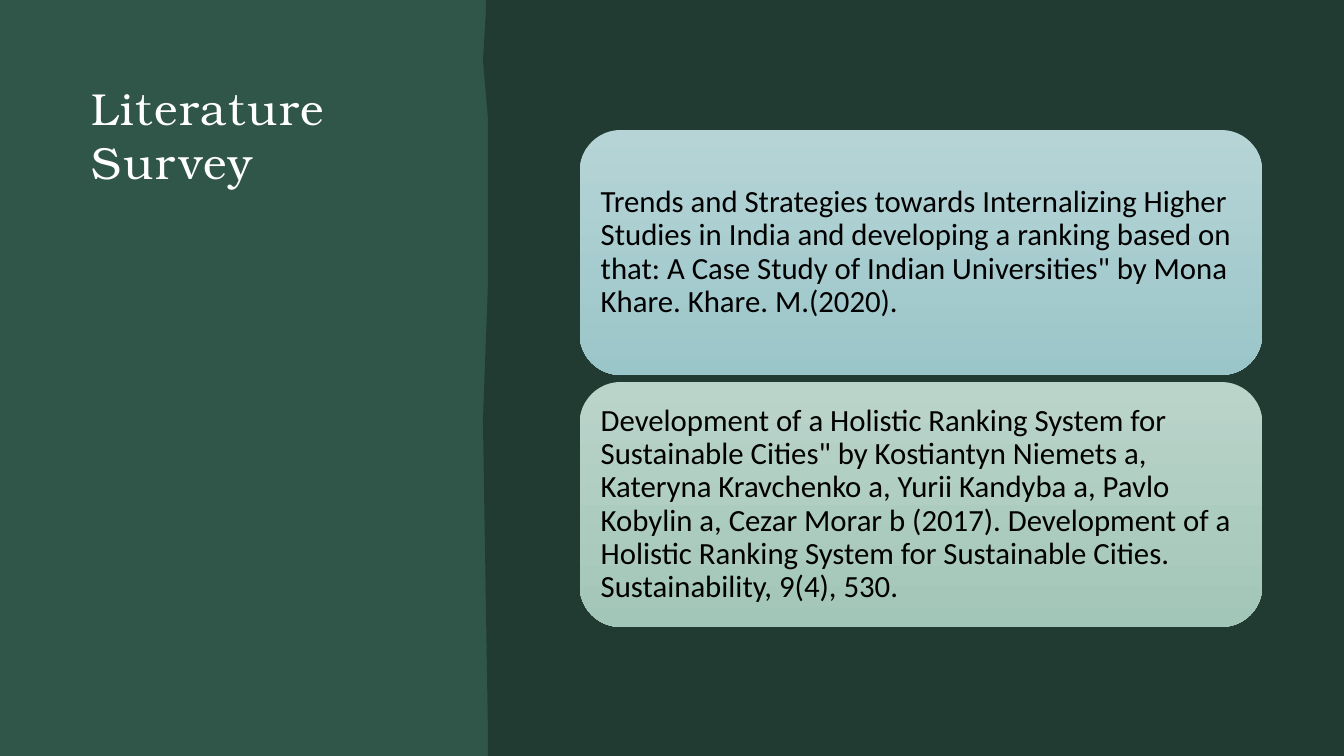
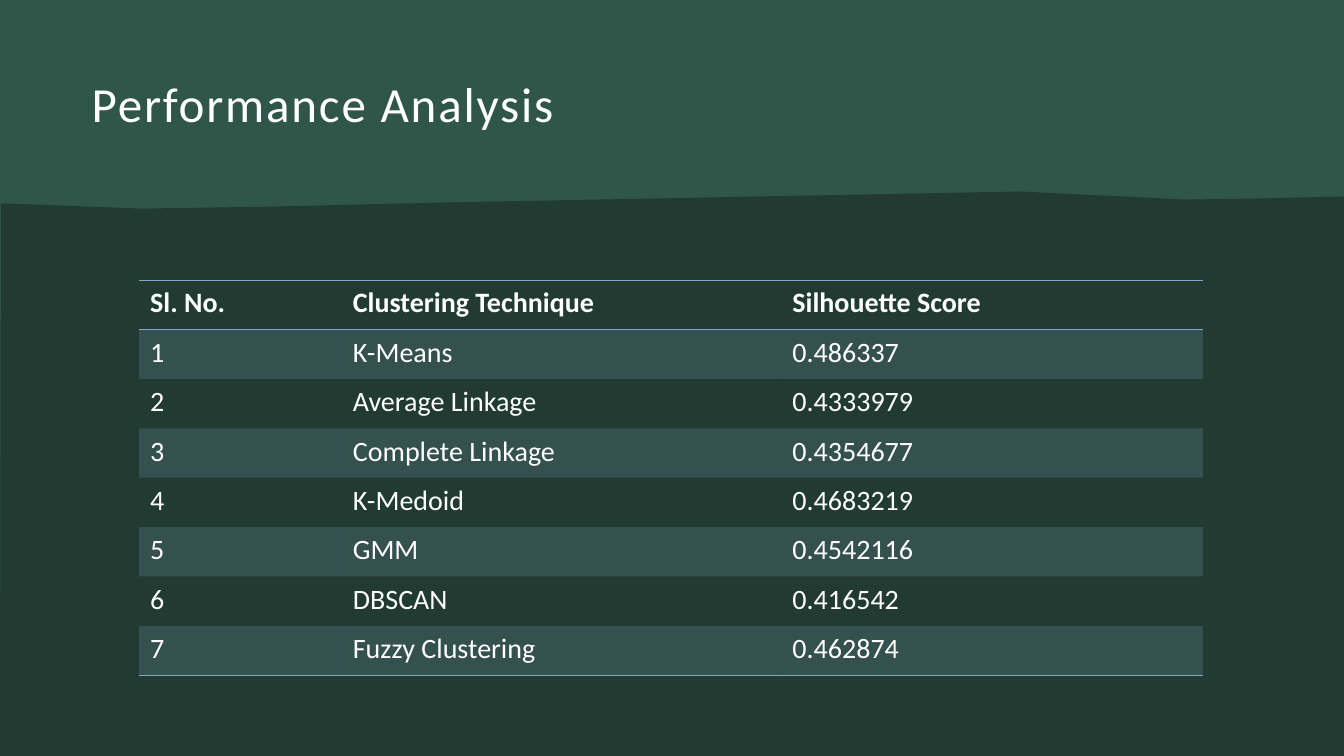
from lxml.etree import SubElement
from pptx import Presentation
from pptx.dml.color import RGBColor
from pptx.enum.shapes import MSO_SHAPE as Preset
from pptx.enum.text import MSO_ANCHOR as Anchor, PP_ALIGN as Align
from pptx.oxml.ns import qn
from pptx.util import Inches, Pt

COLOURS = {
    "background": "213B32",
    "panel": "305649",
    "light": "FFFFFF",
    "dark": "000000",
    "accent": "81A6C7",
    "blue_top": "B6D4D6",
    "blue_bottom": "9BC6C9",
    "green_top": "BBD4CA",
    "green_bottom": "A2C6B8",
}
WIDTH, HEIGHT = 13.33, 7.5
BODY_FONT = "Calibri"
PLAIN_TABLE = "{2D5ABB26-0587-4C30-8999-92F81FD0307C}"

SIDE_EDGE = [
    (4.82, 0), (WIDTH, 0), (WIDTH, HEIGHT), (4.84, HEIGHT), (4.84, 7.29),
    (4.79, 4.17), (4.84, 2.81), (4.84, 1.18), (4.79, 0.6), (4.82, 0.11),
]
TOP_EDGE = [
    (10.12, 1.9), (11.77, 1.98), (12.43, 1.97), (WIDTH, 1.95),
    (WIDTH, HEIGHT), (0, HEIGHT), (0.01, 2.02), (0.08, 2.02),
    (1.4, 2.07), (2.72, 2.05), (4.36, 2.01),
]
SOURCES = [
    ("blue", "Trends and Strategies towards Internalizing Higher Studies in India "
             "and developing a ranking based on that: A Case Study of Indian "
             "Universities\" by Mona Khare. Khare. M.(2020)."),
    ("green", "Development of a Holistic Ranking System for Sustainable Cities\" by "
              "Kostiantyn Niemets a, Kateryna Kravchenko a, Yurii Kandyba a, Pavlo "
              "Kobylin a, Cezar Morar b (2017). Development of a Holistic Ranking "
              "System for Sustainable Cities. Sustainability, 9(4), 530."),
]
SCORES = [
    ("Sl. No.", "Clustering Technique", "Silhouette Score"),
    ("1", "K-Means", "0.486337"),
    ("2", "Average Linkage", "0.4333979"),
    ("3", "Complete Linkage", "0.4354677"),
    ("4", "K-Medoid", "0.4683219"),
    ("5", "GMM", "0.4542116"),
    ("6", "DBSCAN", "0.416542"),
    ("7", "Fuzzy Clustering", "0.462874"),
]


def rgb(name):
    return RGBColor.from_string(COLOURS[name])


class Deck:
    def __init__(self):
        self.presentation = Presentation()
        self.presentation.slide_width = Inches(WIDTH)
        self.presentation.slide_height = Inches(HEIGHT)
        self.slide = None

    def add_slide(self, edge):
        self.slide = self.presentation.slides.add_slide(self.presentation.slide_layouts[6])
        background = self.slide.background.fill
        background.solid()
        background.fore_color.rgb = rgb("background")
        panel = self.slide.shapes.add_shape(
            Preset.RECTANGLE, 0, 0, Inches(WIDTH), Inches(HEIGHT))
        self.paint(panel, "panel")
        points = [(Inches(x), Inches(y)) for x, y in edge]
        builder = self.slide.shapes.build_freeform(*points[0])
        builder.add_line_segments(points[1:])
        self.paint(builder.convert_to_shape(), "background")

    def paint(self, shape, colour):
        shape.shadow.inherit = False
        shape.line.fill.background()
        shape.fill.solid()
        shape.fill.fore_color.rgb = rgb(colour)

    def frame(self, text_frame, margins, anchor):
        text_frame.word_wrap = True
        text_frame.vertical_anchor = anchor
        (text_frame.margin_left, text_frame.margin_top,
         text_frame.margin_right, text_frame.margin_bottom) = map(Inches, margins)

    def add_text(self, text_frame, text, size, colour="light", font=BODY_FONT,
                 bold=False, line_spacing=1.0):
        paragraph = text_frame.paragraphs[0]
        paragraph.alignment = Align.LEFT
        paragraph.line_spacing = line_spacing
        run = paragraph.add_run()
        run.text = text
        run.font.size = Pt(size)
        run.font.name = font
        run.font.bold = bold
        run.font.color.rgb = rgb(colour)
        return run

    def title(self, text, width, height, size, font=BODY_FONT, line_spacing=1.0):
        box = self.slide.shapes.add_textbox(
            Inches(0.79), Inches(0.68), Inches(width), Inches(height))
        self.frame(box.text_frame, (0.12, 0.12, 0.12, 0.1), Anchor.TOP)
        run = self.add_text(box.text_frame, text, size, font=font, line_spacing=line_spacing)
        run._r.get_or_add_rPr().set("spc", "130")

    def card(self, text, tone, left, top, width, height):
        card = self.slide.shapes.add_shape(
            Preset.ROUNDED_RECTANGLE,
            Inches(left), Inches(top), Inches(width), Inches(height))
        card.shadow.inherit = False
        card.line.fill.background()
        card.fill.gradient()
        card.fill.gradient_angle = 270
        for stop, end, position in zip(card.fill.gradient_stops, ("top", "bottom"), (0, 1)):
            stop.color.rgb = rgb(f"{tone}_{end}")
            stop.position = position
        self.frame(card.text_frame, (0.09,) * 4, Anchor.MIDDLE)
        self.add_text(card.text_frame, text, 22, "dark", line_spacing=0.9)

    def table(self, rows, left, top, column_widths, row_height):
        table = self.slide.shapes.add_table(
            len(rows), len(column_widths), Inches(left), Inches(top),
            Inches(sum(column_widths)), Inches(row_height * len(rows))).table
        table._tbl.tblPr.find(qn("a:tableStyleId")).text = PLAIN_TABLE
        for column, width in zip(table.columns, column_widths):
            column.width = Inches(width)
        for index, values in enumerate(rows):
            table.rows[index].height = Inches(row_height)
            header, last = index == 0, index == len(rows) - 1
            edges = ["lnT", "lnB"] if header else ["lnB"] if last else []
            for cell, value in zip(table.rows[index].cells, values):
                cell.margin_left = cell.margin_right = Inches(0.11)
                cell.margin_top = cell.margin_bottom = Inches(0.06)
                self.add_text(cell.text_frame, value, 20, bold=header)
                self.borders(cell, edges)
                self.band(cell, index % 2 == 1)

    def borders(self, cell, edges):
        for edge in edges:
            line = SubElement(cell._tc.get_or_add_tcPr(), qn(f"a:{edge}"), w=str(Pt(1)))
            fill = SubElement(line, qn("a:solidFill"))
            SubElement(fill, qn("a:srgbClr"), val=COLOURS["accent"])

    def band(self, cell, filled):
        if not filled:
            cell.fill.background()
            return
        cell.fill.solid()
        cell.fill.fore_color.rgb = rgb("accent")
        colour = cell._tc.tcPr.find(f"{qn('a:solidFill')}/{qn('a:srgbClr')}")
        SubElement(colour, qn("a:alpha"), val="20000")


def main():
    deck = Deck()

    deck.add_slide(SIDE_EDGE)
    deck.title("Literature Survey", 3.4, 6.03, 32, font="TeX Gyre Bonum")
    card_height, card_gap = 2.43, 0.07
    for index, (tone, text) in enumerate(SOURCES):
        top = 1.29 + index * (card_height + card_gap)
        deck.card(text, tone, 5.75, top, 6.77, card_height)

    deck.add_slide(TOP_EDGE)
    deck.title("Performance Analysis", 11.73, 0.75, 35, line_spacing=0.9)
    deck.table(SCORES, 1.38, 2.78, (2.01, 4.36, 4.18), 0.49)

    deck.presentation.save("out.pptx")


if __name__ == "__main__":
    main()
